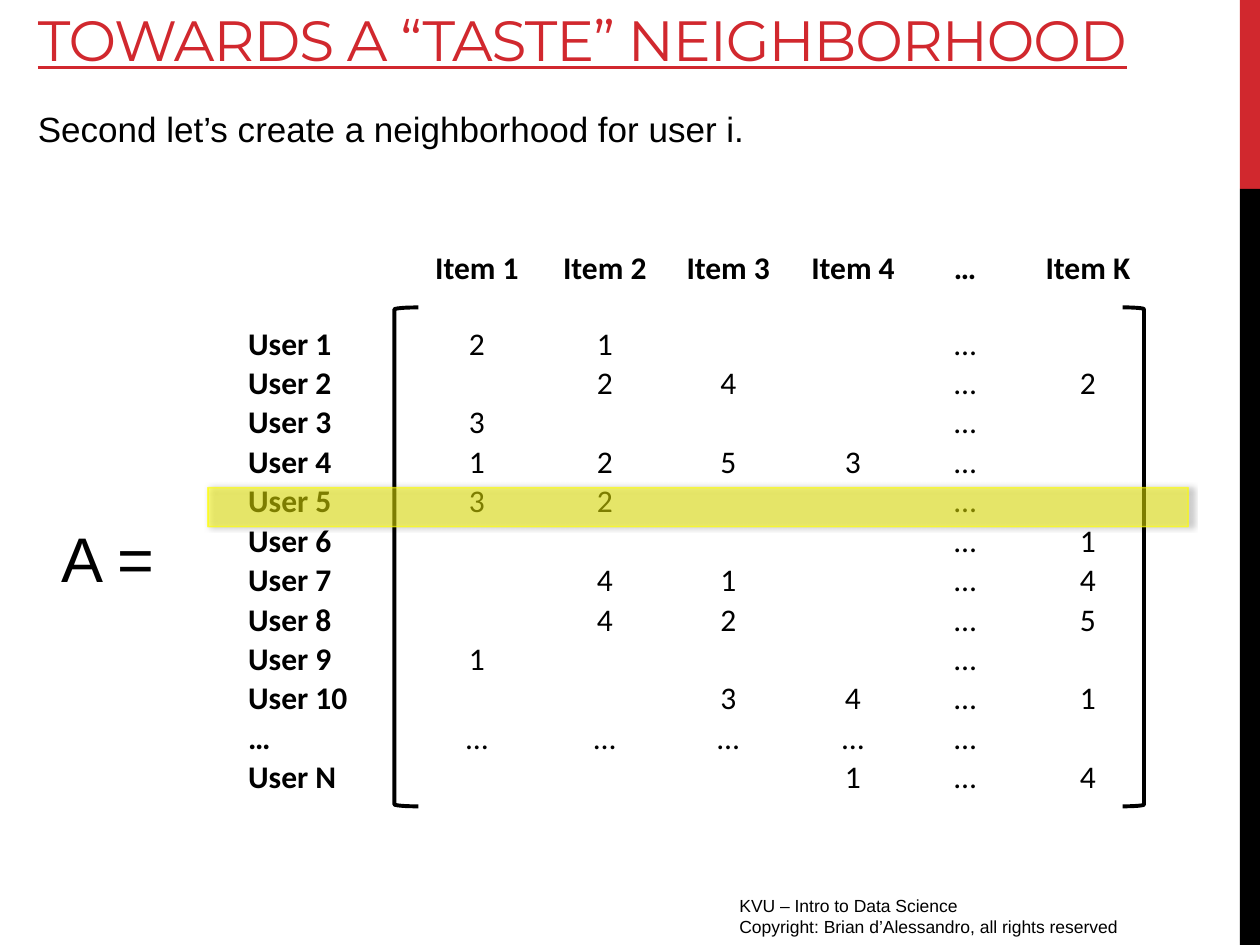
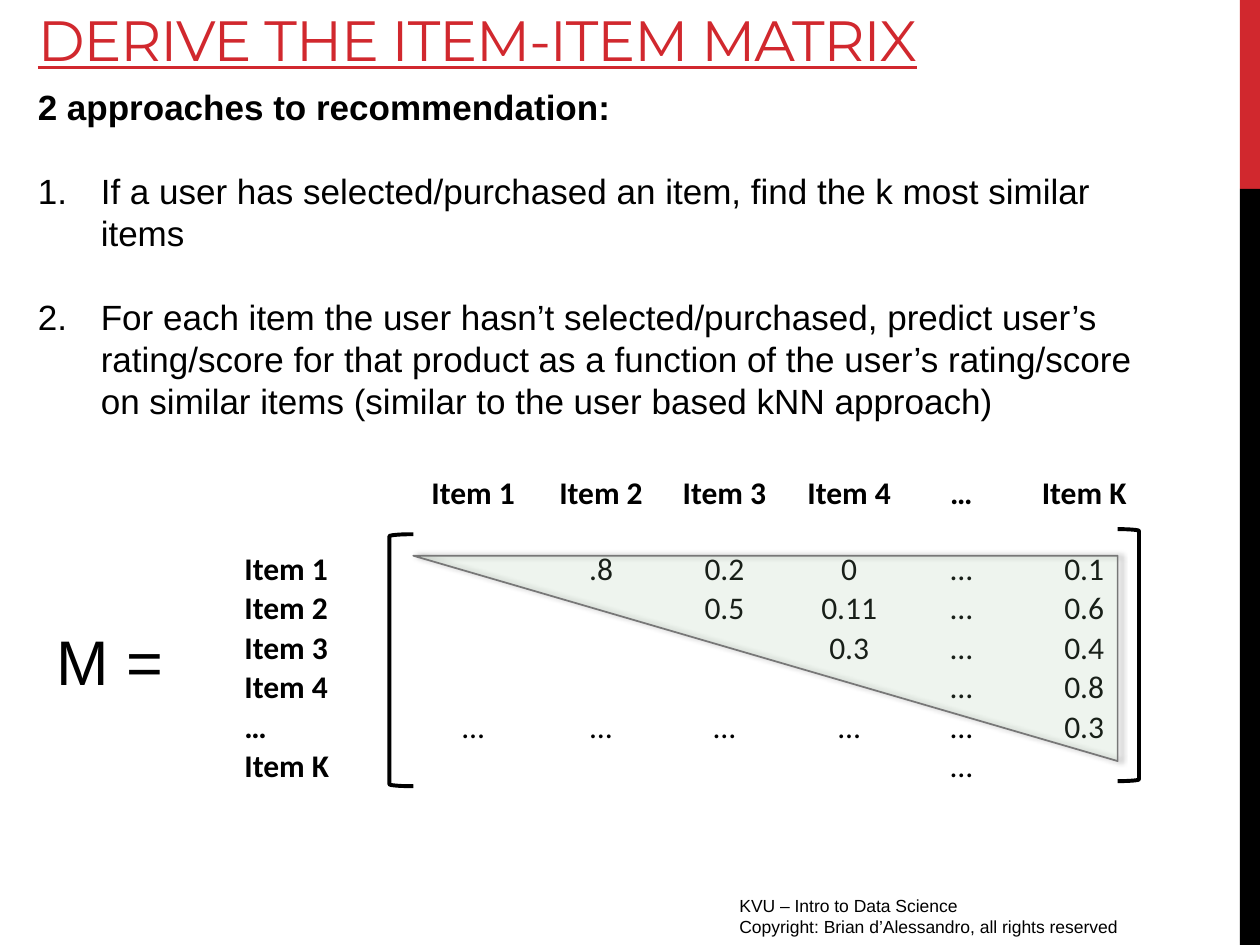
from dataclasses import dataclass

from lxml.etree import SubElement as Sub
from pptx import Presentation as Deck
from pptx.dml.color import RGBColor as Rgb
from pptx.enum.shapes import MSO_SHAPE as Kind
from pptx.enum.text import MSO_ANCHOR as Anchor, MSO_AUTO_SIZE as Auto, PP_ALIGN as Align
from pptx.oxml.ns import qn
from pptx.util import Inches, Pt


@dataclass(frozen=True)
class Theme:
    red: str = "D1282E"
    black: str = "000000"
    yellow: str = "FFFF00"
    green: str = "CCFFCC"
    gray: str = "777777"
    head: str = "Montserrat"
    body: str = "Arial"
    grid: str = "Calibri"
    title: float = 32.4
    label: int = 36
    text: int = 20
    cell: int = 18
    foot: int = 10


T = Theme()
COLS = (1.3, 1.05, 0.98, 0.98, 1, 0.78, 1.17)
ITEMS = "Item 1,Item 2,Item 3,Item 4,…,Item K".split(",")
FOOT = (
    "KVU – Intro to Data Science",
    "Copyright: Brian d’Alessandro, all rights reserved",
)
# A dash marks an unrated pair
RATINGS = (
    ("User 1", "2 1 - - … -"),
    ("User 2", "- 2 4 - … 2"),
    ("User 3", "3 - - - … -"),
    ("User 4", "1 2 5 3 … -"),
    ("User 5", "3 2 - - … -"),
    ("User 6", "- - - - … 1"),
    ("User 7", "- 4 1 - … 4"),
    ("User 8", "- 4 2 - … 5"),
    ("User 9", "1 - - - … -"),
    ("User 10", "- - 3 4 … 1"),
    ("…", "… … … … … -"),
    ("User N", "- - - 1 … 4"),
)
LINKS = (
    ("Item 1", "- .8 0.2 0 … 0.1"),
    ("Item 2", "- - 0.5 0.11 … 0.6"),
    ("Item 3", "- - - 0.3 … 0.4"),
    ("Item 4", "- - - - … 0.8"),
    ("…", "… … … … … 0.3"),
    ("Item K", "- - - - … -"),
)
WAYS = (
    "If a user has selected/purchased an item, find the k most similar items",
    "For each item the user hasn’t selected/purchased, predict user’s rating/score "
    "for that product as a function of the user’s rating/score on similar items "
    "(similar to the user based kNN approach)",
)


def add_run(para, text, size, font=T.body, color=T.black, bold=False):
    run = para.add_run()
    run.text = text
    run.font.size = Pt(size)
    run.font.name = font
    run.font.bold = bold
    run.font.color.rgb = Rgb.from_string(color)
    return run


def place(shape, left, top, width, height):
    shape.left, shape.top = Inches(left), Inches(top)
    shape.width, shape.height = Inches(width), Inches(height)


def add_box(slide, box, lines, size):
    frame = slide.shapes.add_textbox(*map(Inches, box)).text_frame
    frame.word_wrap = True
    for num, line in enumerate(lines):
        para = frame.add_paragraph() if num else frame.paragraphs[0]
        add_run(para, line, size)


def fade(paint, share):
    """Set the opacity, in percent, of a solid fill or line."""
    tone = next(paint.iter(qn("a:srgbClr")))
    Sub(tone, qn("a:alpha"), val=str(share * 1000))


def add_form(slide, kind, box, fill=None, line=None, width=1.0):
    form = slide.shapes.add_shape(kind, *map(Inches, box))
    form.shadow.inherit = False
    if fill:
        form.fill.solid()
        form.fill.fore_color.rgb = Rgb.from_string(fill)
    else:
        form.fill.background()
    if line:
        form.line.color.rgb = Rgb.from_string(line)
        form.line.width = Pt(width)
    else:
        form.line.fill.background()
    return form


def add_veil(slide, kind, box, fill, line, share):
    """Add a see-through shape that marks part of a matrix."""
    veil = add_form(slide, kind, box, fill, line)
    props = veil._element.spPr
    fade(props.find(qn("a:solidFill")), share)
    cast = Sub(
        props.find(qn("a:effectLst")), qn("a:outerShdw"),
        blurRad="40000", dist="23000", dir="0", rotWithShape="0",
    )
    Sub(cast, qn("a:srgbClr"), val=T.black)
    fade(cast, 40)
    return veil


def add_hook(slide, box, flip=False):
    hook = add_form(slide, Kind.LEFT_BRACKET, box, line=T.black, width=2.25)
    if flip:
        hook._element.spPr.find(qn("a:xfrm")).set("flipH", "1")


def fill_cell(cell, text, bold, align, anchor):
    cell.fill.background()
    cell.margin_left = cell.margin_right = cell.margin_top = Inches(0.01)
    cell.margin_bottom = 0
    cell.vertical_anchor = anchor
    para = cell.text_frame.paragraphs[0]
    para.alignment = align
    if text != "-":
        add_run(para, text, T.cell, T.grid, bold=bold)


def add_matrix(slide, left, top, height, data):
    rows = [["-", *ITEMS]] + [[name, *vals.split()] for name, vals in data]
    step = (height - 0.6) / len(data)
    box = map(Inches, (left, top, sum(COLS), height))
    table = slide.shapes.add_table(len(rows), len(COLS), *box).table
    table.first_row = table.horz_banding = False
    for col, width in zip(table.columns, COLS):
        col.width = Inches(width)
    for r, row in enumerate(rows):
        table.rows[r].height = Inches(step if r else 0.6)
        for c, text in enumerate(row):
            fill_cell(
                table.cell(r, c), text, r == 0 or c == 0,
                Align.CENTER if c else Align.LEFT,
                Anchor.BOTTOM if r else Anchor.TOP,
            )


def add_slide(deck, title):
    """Add a slide with the shared side bands, footer and title style."""
    slide = deck.slides.add_slide(deck.slide_layouts[1])
    add_form(slide, Kind.RECTANGLE, (9.84, 0, 0.16, 1.5), T.red)
    add_form(slide, Kind.RECTANGLE, (9.84, 1.5, 0.16, 6), T.black)
    add_box(slide, (5.77, 7.05, 3.75, 0.31), FOOT, T.foot)
    head = slide.shapes.title
    place(head, 0.2, 0, 9.5, 0.63)
    frame = head.text_frame
    frame.auto_size = Auto.NONE
    frame.vertical_anchor = Anchor.BOTTOM
    para = frame.paragraphs[0]
    para.alignment = Align.LEFT
    run = add_run(para, title, T.title, T.head, T.red)
    run.font.underline = True
    run._r.get_or_add_rPr().set("spc", "-60")
    return slide


def add_body(slide, top, height, lead, bold=False, points=()):
    """Fill the body with a lead line and numbered points."""
    body = slide.placeholders[1]
    place(body, 0.2, top, 8.93, height)
    frame = body.text_frame
    frame.auto_size = Auto.NONE
    for num, text in enumerate((lead, *points)):
        para = frame.add_paragraph() if num else frame.paragraphs[0]
        para.space_before = Pt(24 if num else 0)
        props = para._p.get_or_add_pPr()
        dent = Inches(0.5 if num else 0)
        props.set("marL", str(dent))
        props.set("indent", str(-dent))
        if num:
            Sub(props, qn("a:buFont"), typeface="+mj-lt")
            Sub(props, qn("a:buAutoNum"), type="arabicPeriod")
        else:
            Sub(props, qn("a:buNone"))
        add_run(para, text, T.text, bold=bold and not num)


def draw_taste(deck):
    slide = add_slide(deck, "TOWARDS A “TASTE” NEIGHBORHOOD")
    add_body(slide, 0.8, 0.66, "Second let’s create a neighborhood for user i.")
    add_matrix(slide, 1.96, 1.97, 4.36, RATINGS)
    add_hook(slide, (3.13, 2.44, 0.19, 3.96))
    add_hook(slide, (8.91, 2.44, 0.17, 3.96), flip=True)
    add_box(slide, (0.39, 4.07, 1.26, 0.71), ["A ="], T.label)
    mark = add_veil(
        slide, Kind.RECTANGLE, (1.65, 3.87, 7.78, 0.31), T.yellow, T.yellow, 49
    )
    fade(mark._element.spPr.find(qn("a:ln")), 65)


def draw_items(deck):
    slide = add_slide(deck, "DERIVE THE ITEM-ITEM MATRIX")
    add_body(slide, 0.63, 2.79, "2 approaches to recommendation:", True, WAYS)
    add_matrix(slide, 1.93, 3.76, 2.48, LINKS)
    add_hook(slide, (3.09, 4.24, 0.19, 2))
    add_hook(slide, (8.87, 4.2, 0.17, 2), flip=True)
    add_box(slide, (0.35, 4.89, 1.26, 0.71), ["M ="], T.label)
    half = add_veil(
        slide, Kind.RIGHT_TRIANGLE, (3.28, 4.41, 5.59, 1.63), T.green, T.gray, 12
    )
    half.rotation = 180


def main():
    deck = Deck()
    deck.slide_width, deck.slide_height = Inches(10), Inches(7.5)
    draw_taste(deck)
    draw_items(deck)
    deck.save("out.pptx")


if __name__ == "__main__":
    main()
